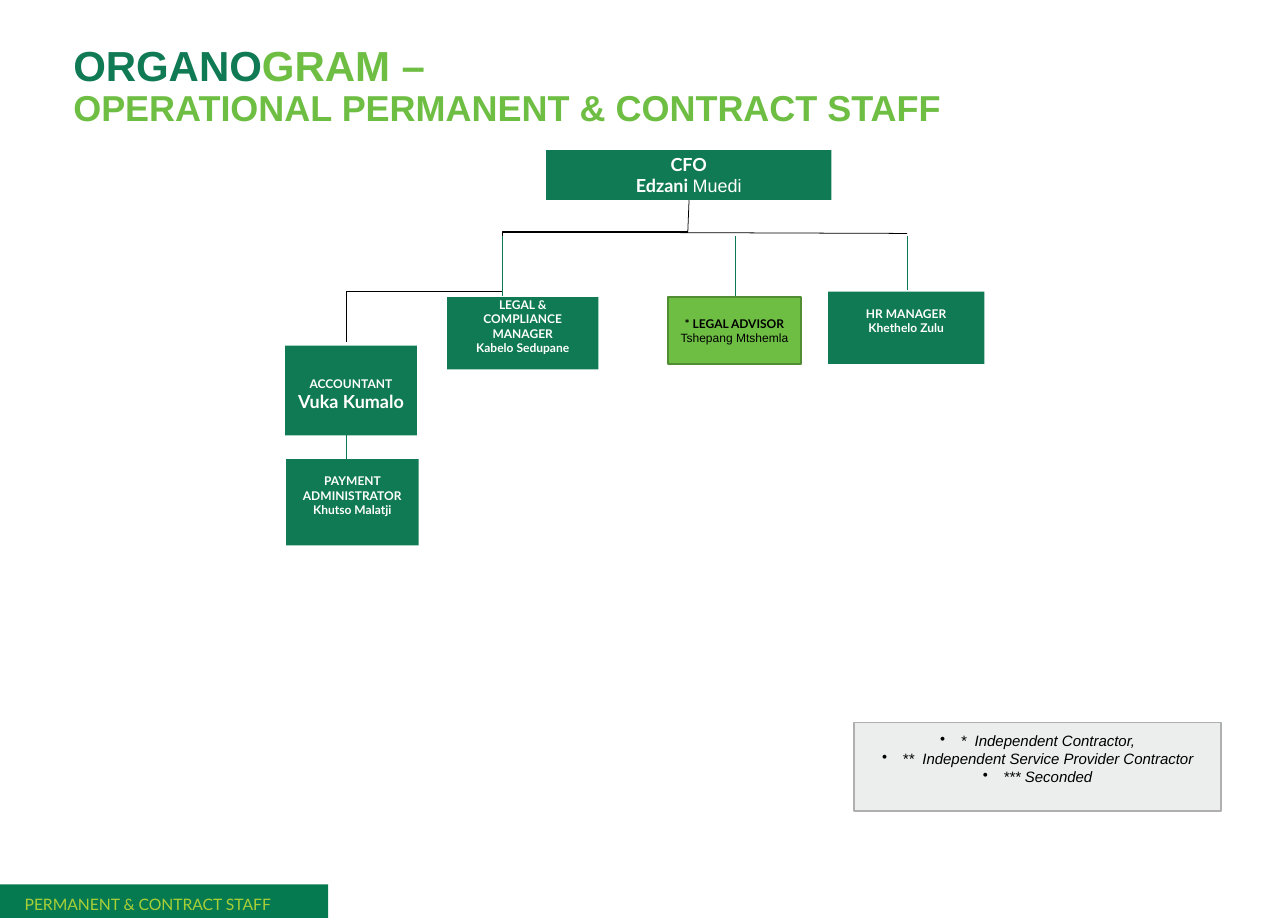
from dataclasses import dataclass

import pptx
import pptx.dml.color
import pptx.enum.shapes
import pptx.enum.text
import pptx.oxml
import pptx.oxml.ns
import pptx.util
from pptx.util import Cm

DARK, LIME, EDGE = "107A54", "6EBE44", "0B7A53"
WHITE, BLACK = "FFFFFF", "000000"
MIDDLE = pptx.enum.text.MSO_ANCHOR.MIDDLE
CENTER = pptx.enum.text.PP_ALIGN.CENTER
LINK = pptx.enum.shapes.MSO_CONNECTOR


@dataclass
class Line:
    text: str
    size: float = 8
    face: str = "Lato"
    bold: bool = True
    slant: bool = False
    tail: str = ""


@dataclass
class Box:
    left: float
    top: float
    width: float
    height: float
    lines: list[Line]
    lift: float = 0
    fill: str = DARK
    ink: str = WHITE
    edge: str = ""
    dots: bool = False


@dataclass
class Wire:
    start: tuple[float, float]
    end: tuple[float, float]
    color: str = EDGE
    width: float = 0.5
    bend: int = 0


TOP, STEM, ARM, LEFT, RIGHT = 5.46, 16.18, 11.81, 8.15, 21.34

WIRES = [
    Wire((STEM, TOP), (LEFT, 6.86), BLACK, 1, 54200),
    Wire((ARM, 5.54), (ARM, 6.96)),
    Wire((LEFT, 6.86), (LEFT, 8.05), BLACK),
    Wire((13, TOP), (RIGHT, 5.49), BLACK),
    Wire((RIGHT, 5.56), (RIGHT, 6.83)),
    Wire((17.3, 6.99), (17.3, 5.54)),
    Wire((LEFT, 10.21), (LEFT, 10.8)),
    Wire((STEM, TOP), (16.21, 4.7), BLACK),
]

NOTES = ["*  Independent Contractor,",
         "**  Independent Service Provider Contractor", "*** Seconded"]

BOXES = [
    Box(0, 20.8, 7.72, 0.79, [], fill="057A51"),
    Box(12.85, 3.53, 6.71, 1.17,
        [Line("CFO", 12), Line("Edzani ", 12, tail="Muedi")]),
    Box(10.52, 6.99, 3.56, 1.7,
        [Line("LEGAL &\vCOMPLIANCE\vMANAGER"), Line("Kabelo Sedupane")], 0.33),
    Box(15.72, 6.99, 3.12, 1.57,
        [Line("* LEGAL ADVISOR"), Line("Tshepang Mtshemla", face="Arial", bold=False)],
        fill=LIME, ink=BLACK, edge="518D32"),
    Box(6.71, 8.13, 3.1, 2.11,
        [Line("ACCOUNTANT"), Line("Vuka Kumalo", 12)], -0.17),
    Box(19.48, 6.86, 3.68, 1.7,
        [Line("HR MANAGER"), Line("Khethelo Zulu")], 0.33),
    Box(6.73, 10.8, 3.12, 2.03,
        [Line("PAYMENT ADMINISTRATOR"), Line("Khutso Malatji")], 0.33),
    Box(20.09, 16.99, 8.64, 2.08,
        [Line(note, 10, "Arial", False, True) for note in NOTES], 0.38,
        fill="ECEDED", ink=BLACK, edge="AFAFAF", dots=True),
]


def tint(color, code: str) -> None:
    color.rgb = pptx.dml.color.RGBColor.from_string(code)


def style(font, size: float, face: str, code: str, bold: bool) -> None:
    font.size = pptx.util.Pt(size)
    font.name = face
    font.bold = bold
    tint(font.color, code)


def bullet(para) -> None:
    props = para._p.get_or_add_pPr()
    props.set("marL", str(Cm(0.48)))
    props.set("indent", str(-Cm(0.48)))
    mark = pptx.oxml.parse_xml(
        f'<a:buChar {pptx.oxml.ns.nsdecls("a")} char="•"/>')
    props.insert_element_before(mark, "a:tabLst", "a:defRPr", "a:extLst")


def write(para, line: Line, ink: str) -> None:
    para.text = line.text
    para.alignment = CENTER
    if line.tail:
        style(para.runs[0].font, line.size, line.face, ink, line.bold)
        run = para.add_run()
        run.text = line.tail
        style(run.font, line.size, "Arial", ink, False)
    else:
        style(para.font, line.size, line.face, ink, line.bold)
        para.font.italic = line.slant


def draw_box(slide, box: Box) -> None:
    shape = slide.shapes.add_shape(
        pptx.enum.shapes.MSO_SHAPE.RECTANGLE,
        Cm(box.left), Cm(box.top), Cm(box.width), Cm(box.height))
    shape.shadow.inherit = False
    shape.fill.solid()
    tint(shape.fill.fore_color, box.fill)
    if box.edge:
        tint(shape.line.color, box.edge)
        shape.line.width = pptx.util.Pt(1)
    else:
        shape.line.fill.background()
    frame = shape.text_frame
    frame.word_wrap = True
    frame.vertical_anchor = MIDDLE
    frame.margin_left = frame.margin_right = Cm(0.25)
    frame.margin_top = Cm(max(-box.lift, 0))
    frame.margin_bottom = Cm(max(box.lift, 0))
    for rank, line in enumerate(box.lines):
        para = frame.add_paragraph() if rank else frame.paragraphs[0]
        write(para, line, box.ink)
        if box.dots:
            bullet(para)


def draw_wire(slide, wire: Wire) -> None:
    kind = LINK.ELBOW if wire.bend else LINK.STRAIGHT
    ends = [Cm(value) for value in wire.start + wire.end]
    link = slide.shapes.add_connector(kind, *ends)
    tint(link.line.color, wire.color)
    link.line.width = pptx.util.Pt(wire.width)
    space = pptx.oxml.ns.nsdecls("a")
    props = link._element.spPr
    props.append(pptx.oxml.parse_xml(f"<a:effectLst {space}/>"))
    if wire.bend:
        guide = f'<a:gd {space} name="adj1" fmla="val {wire.bend}"/>'
        props.prstGeom.get_or_add_avLst().append(pptx.oxml.parse_xml(guide))


def draw_title(slide) -> None:
    title = slide.shapes.title
    title.left, title.top = Cm(1.47), Cm(0.56)
    title.width, title.height = Cm(27.53), Cm(2.97)
    frame = title.text_frame
    frame.word_wrap = True
    frame.vertical_anchor = MIDDLE
    para = frame.paragraphs[0]
    para.alignment = pptx.enum.text.PP_ALIGN.LEFT
    para.line_spacing = 0.9
    parts = [("ORGANO", 28, DARK), ("GRAM –", 28, LIME),
             ("OPERATIONAL PERMANENT & CONTRACT STAFF", 24, LIME)]
    for text, size, code in parts:
        if size == 24:
            para.add_line_break()
        run = para.add_run()
        run.text = text
        style(run.font, size, "Arial", code, True)


def draw_foot(slide) -> None:
    foot = slide.shapes.add_textbox(Cm(0.33), Cm(20.93), Cm(6.81), Cm(0.53))
    foot.text_frame.word_wrap = True
    para = foot.text_frame.paragraphs[0]
    para.text = "PERMANENT & CONTRACT STAFF"
    style(para.font, 10.5, "Lato", "A9CF37", False)


def main() -> None:
    deck = pptx.Presentation()
    deck.slide_width, deck.slide_height = Cm(30.3), Cm(21.59)
    slide = deck.slides.add_slide(deck.slide_layouts[5])
    draw_title(slide)
    for wire in WIRES:
        draw_wire(slide, wire)
    for box in BOXES:
        draw_box(slide, box)
    draw_foot(slide)
    deck.save("out.pptx")


if __name__ == "__main__":
    main()
